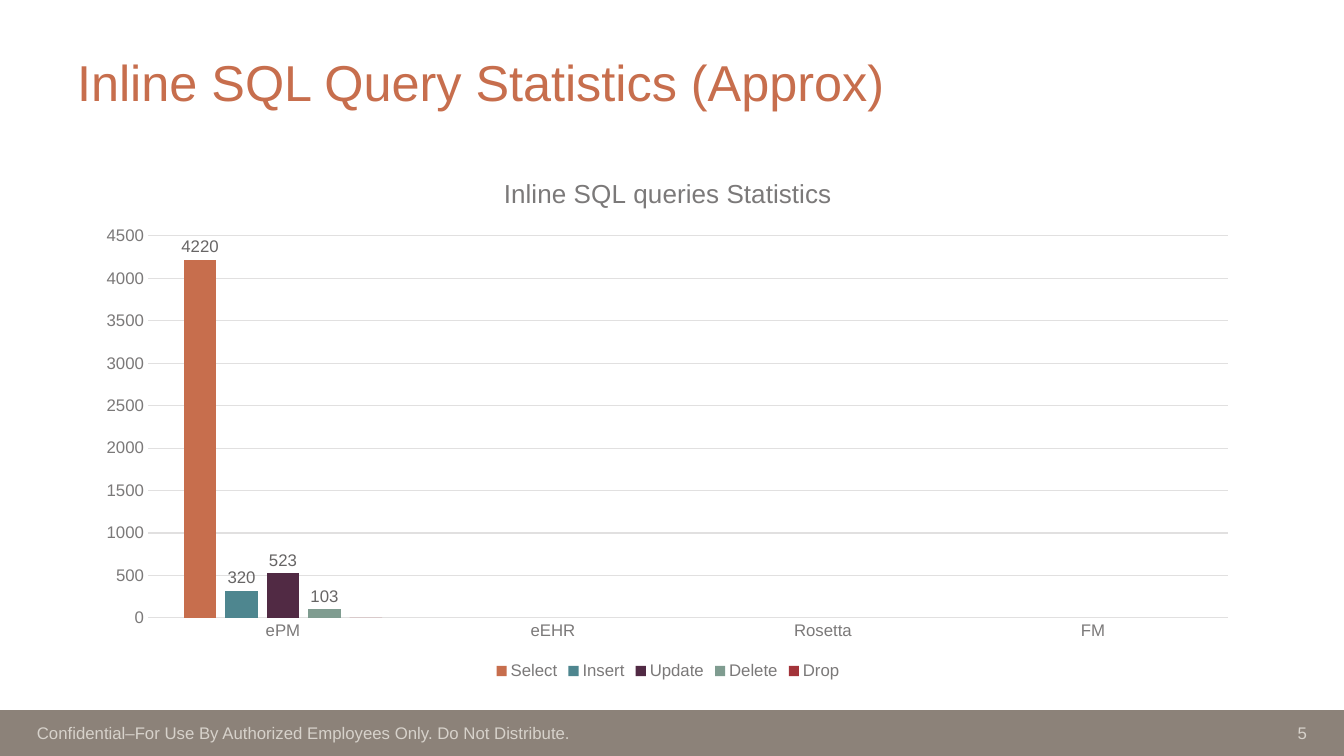
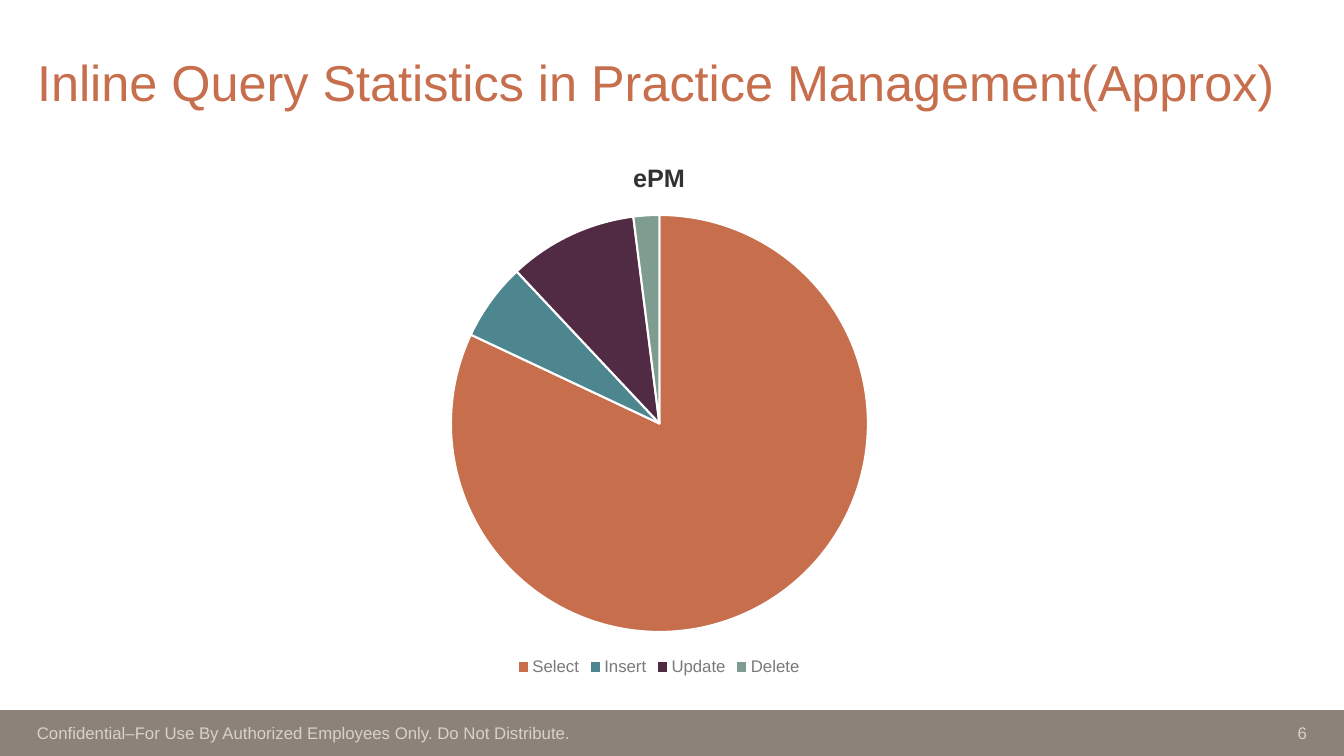
from lxml import etree
from pptx import Presentation
from pptx import util as u
from pptx.chart.data import CategoryChartData
from pptx.dml.color import RGBColor
from pptx.enum import chart as ch, shapes, text
from pptx.oxml.ns import qn

PX = 914400 / 100.8
WIDE, HIGH = 1344, 756
FACE = "Arial"
RUST = RGBColor(0xC7, 0x6E, 0x4D)
TEAL = RGBColor(0x4E, 0x86, 0x8F)
PLUM = RGBColor(0x51, 0x2A, 0x44)
SAGE = RGBColor(0x7F, 0x9C, 0x90)
RED = RGBColor(0xA3, 0x34, 0x3A)
TAUPE = RGBColor(0x8C, 0x82, 0x79)
SAND = RGBColor(0xD7, 0xD2, 0xCB)
WHITE = RGBColor(0xFF, 0xFF, 0xFF)
INK = RGBColor(0x33, 0x32, 0x32)
GREY = RGBColor(0x7B, 0x79, 0x79)
DARK = RGBColor(0x67, 0x65, 0x65)
PALE = RGBColor(0xE1, 0xE0, 0xE0)
HUES = [RUST, TEAL, PLUM, SAGE, RED]
KINDS = ["Select", "Insert", "Update", "Delete", "Drop"]
NOTICE = "Confidential–For Use By Authorized Employees Only. Do Not Distribute."


def emu(*sizes):
    """Turn px lengths into EMU."""
    return [u.Emu(round(size * PX)) for size in sizes]


def style(font, size, color, bold=False):
    """Set the face, size, colour and weight of a font."""
    font.name, font.size, font.bold = FACE, u.Pt(size), bold
    font.color.rgb = color


def write(slide, box, words, align):
    """Add one line of footer text."""
    frame = slide.shapes.add_textbox(*emu(*box)).text_frame
    frame.word_wrap = True
    frame.vertical_anchor = text.MSO_ANCHOR.MIDDLE
    para = frame.paragraphs[0]
    para.text, para.alignment = words, align
    style(para.font, 12, SAND)


def footer(slide, number, box=(0, 710, WIDE, 46)):
    """Draw the band with its notice and page number."""
    left, top, width, height = box
    band = slide.shapes.add_shape(shapes.MSO_SHAPE.RECTANGLE, *emu(*box))
    band.shadow.inherit = False
    band.fill.solid()
    band.fill.fore_color.rgb = TAUPE
    band.line.fill.background()
    write(slide, (left + 27, top + 8, 847, 30), NOTICE, text.PP_ALIGN.LEFT)
    write(slide, (left + width - 284, top + 8, 257, 30), str(number),
          text.PP_ALIGN.RIGHT)


def page(deck, number, words, left, width):
    """Add a slide with its footer and title."""
    slide = deck.slides.add_slide(deck.slide_layouts[5])
    footer(slide, number)
    title = slide.shapes.title
    title.left, title.top, title.width, title.height = emu(left, 42, width, 86)
    frame = title.text_frame
    frame.auto_size = text.MSO_AUTO_SIZE.NONE
    frame.vertical_anchor = text.MSO_ANCHOR.MIDDLE
    para = frame.paragraphs[0]
    para.text, para.alignment = words, text.PP_ALIGN.LEFT
    para.line_spacing = 0.9
    style(para.font, 36, RUST)
    return slide


def place(chart, box, plot):
    """Fix the inner plot area, given in px from the chart corner."""
    area = chart._chartSpace.find(".//" + qn("c:plotArea"))
    for old in area.findall(qn("c:layout")):
        area.remove(old)
    layout = etree.Element(qn("c:layout"))
    area.insert(0, layout)
    manual = etree.SubElement(layout, qn("c:manualLayout"))
    rules = [("layoutTarget", "inner"), ("xMode", "edge"), ("yMode", "edge")]
    rules += [(key, f"{part / whole:.4f}") for key, part, whole
              in zip("xywh", plot, box[2:] * 2)]
    for key, value in rules:
        etree.SubElement(manual, qn("c:" + key)).set("val", value)


def graph(slide, kind, box, plot, data, head):
    """Add a chart with its title and legend."""
    chart = slide.shapes.add_chart(kind, *emu(*box), data).chart
    style(chart.font, 10, INK)
    chart.has_title = True
    para = chart.chart_title.text_frame.paragraphs[0]
    para.text = head[0]
    style(para.font, *head[1:])
    chart.chart_title.include_in_layout = False
    chart.has_legend = True
    chart.legend.position = ch.XL_LEGEND_POSITION.BOTTOM
    chart.legend.include_in_layout = False
    style(chart.legend.font, 12, GREY)
    place(chart, box, plot)
    return chart


def paint(item, color):
    """Fill a bar series or a pie slice."""
    item.format.fill.solid()
    item.format.fill.fore_color.rgb = color


def rule(line):
    """Give an axis or grid line its thin pale look."""
    line.color.rgb, line.width = PALE, u.Pt(0.75)


def bars(slide, box):
    """Draw the clustered columns for all products."""
    data = CategoryChartData()
    data.categories = ["ePM", "eEHR", "Rosetta", "FM"]
    for name, count in zip(KINDS, [4220, 320, 523, 103, 0]):
        data.add_series(name, [count, None, None, None])
    chart = graph(slide, ch.XL_CHART_TYPE.COLUMN_CLUSTERED, box,
                  (64, 80, 1080, 382), data,
                  ("Inline SQL queries Statistics", 18.6, GREY))
    plot = chart.plots[0]
    plot.gap_width, plot.overlap, plot.vary_by_categories = 219, -27, False
    for series, hue in zip(plot.series, HUES):
        paint(series, hue)
        if series.name != "Drop":
            labels = series.data_labels
            labels.show_value = True
            labels.position = ch.XL_LABEL_POSITION.OUTSIDE_END
            style(labels.font, 12, DARK)
    cats, vals = chart.category_axis, chart.value_axis
    for axis in (cats, vals):
        axis.major_tick_mark = axis.minor_tick_mark = ch.XL_TICK_MARK.NONE
        style(axis.tick_labels.font, 12, GREY)
    rule(cats.format.line)
    vals.format.line.fill.background()
    vals.has_major_gridlines = True
    rule(vals.major_gridlines.format.line)
    vals.minimum_scale, vals.maximum_scale, vals.major_unit = 0, 4500, 500


def pie(slide, box):
    """Draw the share of each query kind."""
    data = CategoryChartData()
    data.categories = KINDS[:4]
    data.add_series("ePM", [82, 6, 10, 2])
    chart = graph(slide, ch.XL_CHART_TYPE.PIE, box, (384, 74, 417, 417), data,
                  ("ePM", 18, INK, True))
    plot = chart.plots[0]
    plot.vary_by_categories = True
    for spot, hue in enumerate(HUES[:4]):
        point = plot.series[0].points[spot]
        paint(point, hue)
        point.format.line.color.rgb = WHITE
        point.format.line.width = u.Pt(1.5)


def main():
    """Build and save the deck."""
    deck = Presentation()
    deck.slide_width, deck.slide_height = emu(WIDE, HIGH)
    bars(page(deck, 5, "Inline SQL Query Statistics (Approx)", 67, 1184),
         (84, 156, 1168, 528))
    pie(page(deck, 6, "Inline Query Statistics in Practice Management(Approx)",
             27, 1264), (67, 141, 1184, 539))
    deck.save("out.pptx")


if __name__ == "__main__":
    main()
